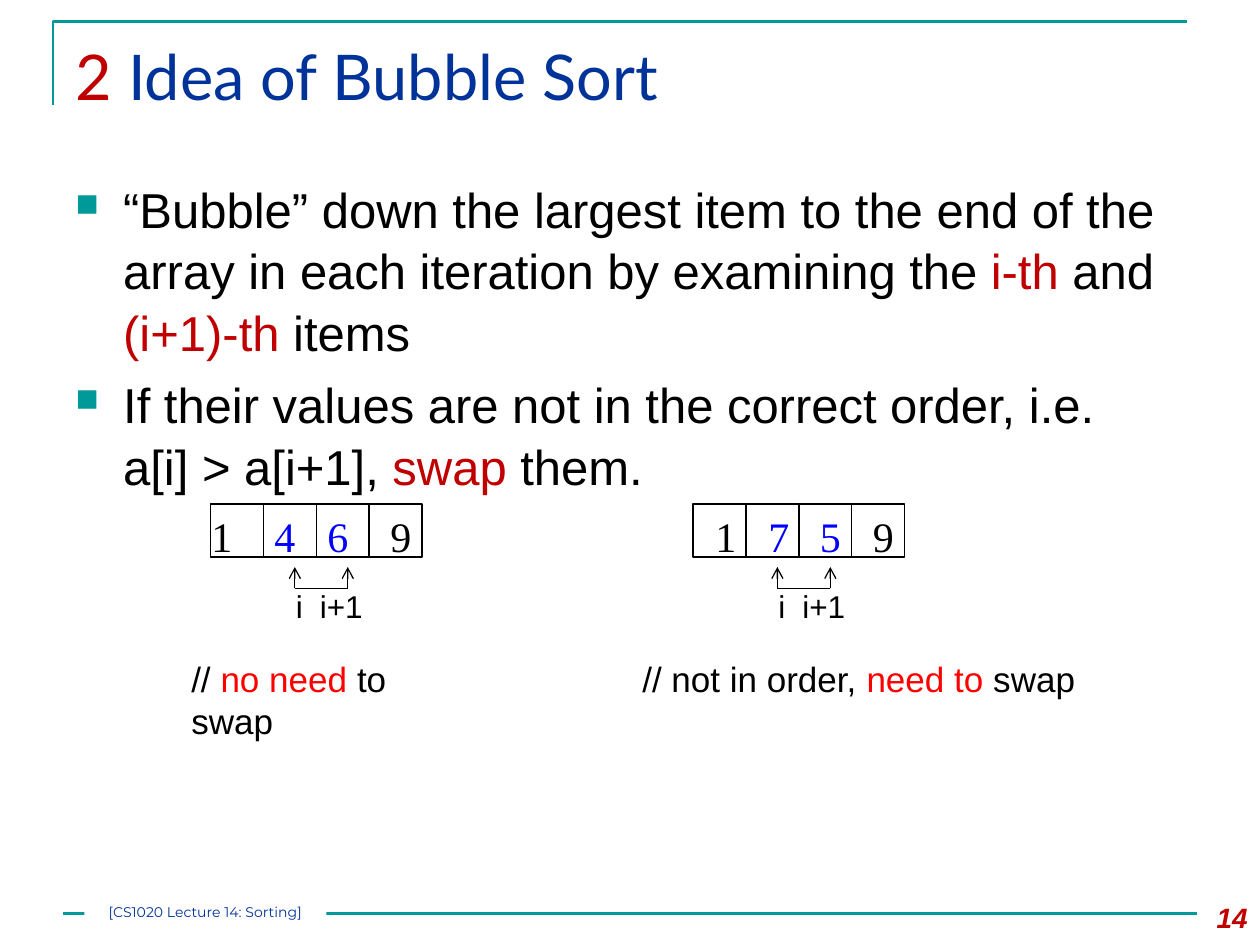
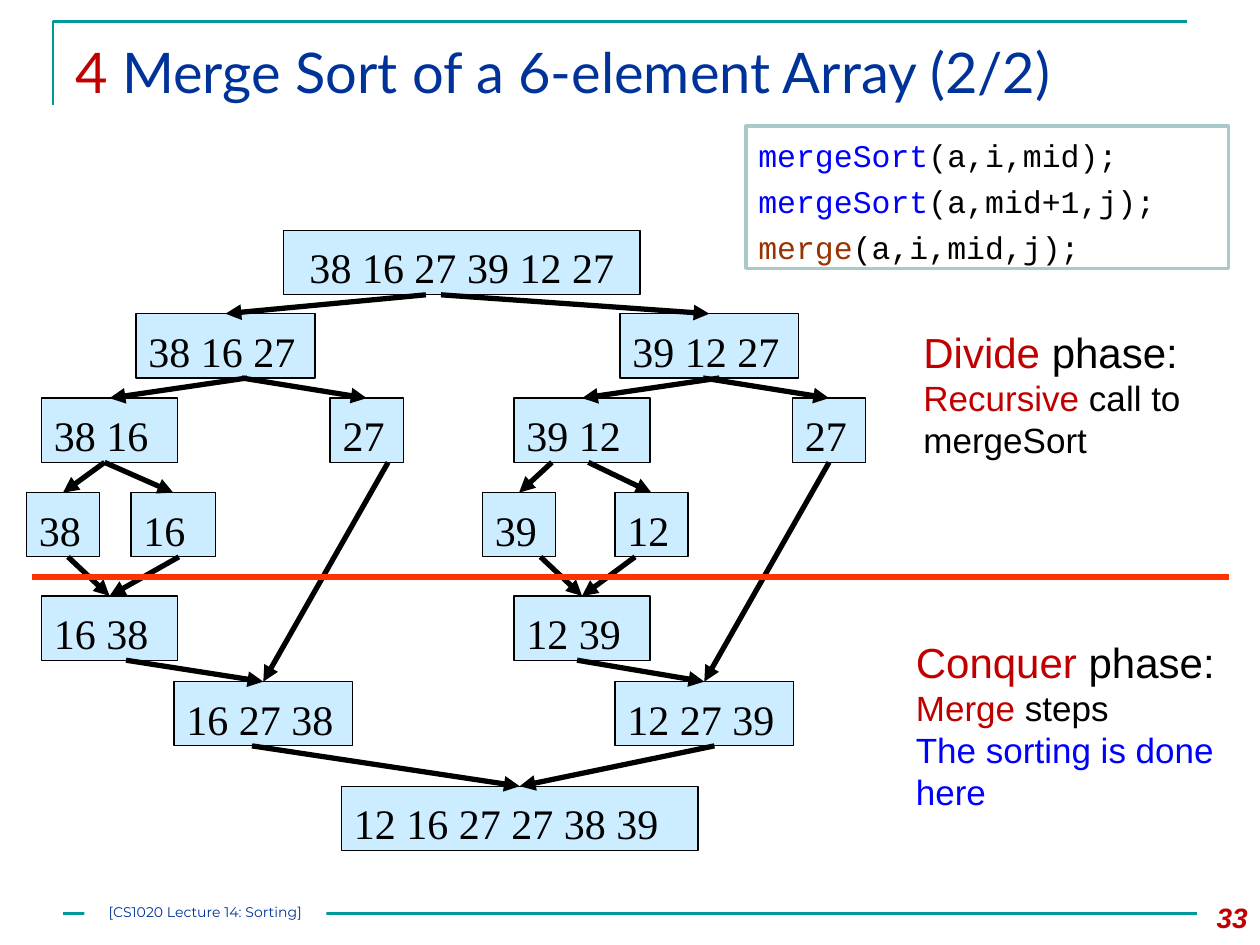
from dataclasses import dataclass
from typing import NamedTuple

from lxml.etree import SubElement
from pptx import Presentation
from pptx.dml.color import RGBColor
from pptx.enum.shapes import MSO_CONNECTOR as Connector, MSO_SHAPE as Preset
from pptx.enum.text import MSO_ANCHOR as Anchor, PP_ALIGN as Align
from pptx.oxml.ns import qn
from pptx.util import Inches, Pt

COLORS = {
    "teal": "009999", "navy": "003399", "crimson": "C00000", "red": "FF0000",
    "blue": "0000FF", "brown": "993300", "black": "000000", "white": "FFFFFF",
    "node": "CCECFF", "code_border": "AACACA", "divider": "FF3300",
}
BODY_FONT, TITLE_FONT, FOOTER_FONT = "Arial", "Lato", "Montserrat"
ARRAY_FONT, CODE_FONT = "Times New Roman", "Courier New"
CELL = 0.42
CELL_TOP = 4.0
NODE_HEIGHT = 0.51
ROW_TOPS = (1.83, 2.49, 3.16, 3.91, 4.73, 5.41, 6.24)


class Run(NamedTuple):
    text: str
    color: str = "black"


class Box(NamedTuple):
    left: float
    top: float
    width: float
    height: float


class Start(NamedTuple):
    x: float
    row: int


@dataclass(frozen=True)
class Line:
    runs: tuple[Run, ...]
    size: float
    font: str = BODY_FONT
    align: Align = Align.LEFT
    space_before: float = 0
    bold: bool = False
    bullet: bool = False
    tabs: tuple[float, ...] = ()
    spacing: float = 1.0


@dataclass(frozen=True)
class ArrayExample:
    left: float
    text_left: float
    tabs: tuple[float, ...]
    values: tuple[str, str, str, str]
    comment_box: Box
    comment: tuple[Run, ...]


@dataclass(frozen=True)
class Node:
    text: str
    left: float
    row: int
    width: float
    starts: tuple[Start, ...] = ()
    align: Align = Align.LEFT


ARRAY_EXAMPLES = (
    ArrayExample(1.67, 1.58, (0.5, 0.92, 1.42), ("1", "4", "6", "9"), Box(1.42, 5.17, 2.1, 0.76),
                 (Run("// "), Run("no need ", "red"), Run("to swap"))),
    ArrayExample(5.5, 5.58, (0.42, 0.83, 1.25), ("1", "7", "5", "9"), Box(5, 5.17, 3.9, 0.44),
                 (Run("// not in order, "), Run("need to", "red"), Run(" swap"))),
)

NODES = (
    Node("38 16 27 39 12 27", 2.25, 0, 2.83, align=Align.CENTER),
    Node("38 16 27", 1.08, 1, 1.42, (Start(3.38, 0),)),
    Node("39 12 27", 4.92, 1, 1.42, (Start(3.5, 0),)),
    Node("38 16", 0.33, 2, 1.08, (Start(1.96, 1),)),
    Node("27", 2.62, 2, 0.58, (Start(1.92, 1),)),
    Node("39 12", 4.08, 2, 1.08, (Start(5.71, 1),)),
    Node("27", 6.29, 2, 0.58, (Start(5.58, 1),)),
    Node("38", 0.21, 3, 0.58, (Start(0.83, 2),)),
    Node("16", 1.04, 3, 0.67, (Start(0.83, 2),)),
    Node("39", 3.83, 3, 0.58, (Start(4.38, 2),)),
    Node("12", 4.88, 3, 0.58, (Start(4.67, 2),)),
    Node("16 38", 0.33, 4, 1.08, (Start(0.54, 3), Start(1.42, 3))),
    Node("12 39", 4.08, 4, 1.08, (Start(4.29, 3), Start(5.04, 3))),
    Node("16 27 38", 1.38, 5, 1.42, (Start(1, 4), Start(3.08, 2))),
    Node("12 27 39", 4.88, 5, 1.42, (Start(4.58, 4), Start(6.58, 2))),
    Node("12 16 27 27 38 39", 2.71, 6, 2.83, (Start(2, 5), Start(5.67, 5))),
)


def color(name: str) -> RGBColor:
    return RGBColor.from_string(COLORS[name])


def add_bullet(paragraph) -> None:
    properties = paragraph._p.get_or_add_pPr()
    properties.set("marL", str(Inches(0.38)))
    properties.set("indent", str(-Inches(0.38)))
    bullet_color = SubElement(properties, qn("a:buClr"))
    SubElement(bullet_color, qn("a:srgbClr"), val=COLORS["teal"])
    SubElement(properties, qn("a:buSzPct"), val="65000")
    SubElement(properties, qn("a:buChar"), char="■")


def add_tabs(paragraph, positions: tuple[float, ...]) -> None:
    tab_list = SubElement(paragraph._p.get_or_add_pPr(), qn("a:tabLst"))
    for position in positions:
        SubElement(tab_list, qn("a:tab"), pos=str(Inches(position)), algn="l")


def write(shape, lines: tuple[Line, ...], wrap: bool = True, margins=(0.1, 0.05)) -> None:
    frame = shape.text_frame
    frame.word_wrap = wrap
    frame.vertical_anchor = Anchor.TOP
    frame.margin_left = frame.margin_right = Inches(margins[0])
    frame.margin_top = frame.margin_bottom = Inches(margins[1])
    for index, line in enumerate(lines):
        paragraph = frame.add_paragraph() if index else frame.paragraphs[0]
        if line.bullet:
            add_bullet(paragraph)
        if line.tabs:
            add_tabs(paragraph, line.tabs)
        paragraph.alignment = line.align
        paragraph.line_spacing = line.spacing
        if index:
            paragraph.space_before = Pt(line.space_before)
        font = paragraph.font
        font.name, font.size = line.font, Pt(line.size)
        font.bold = font.italic = line.bold
        font.color.rgb = color(line.runs[0].color)
        for text_run in line.runs:
            for part_index, part in enumerate(text_run.text.split("\n")):
                if part_index:
                    paragraph.add_line_break()
                run = paragraph.add_run()
                run.text = part
                if text_run.color != line.runs[0].color:
                    run.font.color.rgb = color(text_run.color)


def add_text(slide, box: Box, *lines: Line, wrap: bool = True) -> None:
    write(slide.shapes.add_textbox(*map(Inches, box)), lines, wrap)


def add_rectangle(slide, box: Box, fill: str = "", line: str = "", weight: float = 0.75):
    shape = slide.shapes.add_shape(Preset.RECTANGLE, *map(Inches, box))
    shape.shadow.inherit = False
    if fill:
        shape.fill.solid()
        shape.fill.fore_color.rgb = color(fill)
    else:
        shape.fill.background()
    if line:
        shape.line.color.rgb = color(line)
        shape.line.width = Pt(weight)
    else:
        shape.line.fill.background()
    return shape


def add_line(slide, start: tuple[float, float], end: tuple[float, float], line_color: str = "black",
             weight: float = 0.75, arrow: str = "") -> None:
    connector = slide.shapes.add_connector(Connector.STRAIGHT, *map(Inches, (*start, *end)))
    connector.line.color.rgb = color(line_color)
    connector.line.width = Pt(weight)
    if arrow:
        SubElement(connector.line._get_or_add_ln(), qn("a:tailEnd"), type=arrow)
    SubElement(connector._element.spPr, qn("a:effectLst"))


def add_base_slide(presentation, number: str, section: str, title: str, title_size: float):
    slide = presentation.slides.add_slide(presentation.slide_layouts[6])
    builder = slide.shapes.build_freeform(Inches(0.42), Inches(0.83))
    builder.add_line_segments(
        [(Inches(0.42), Inches(0.17)), (Inches(9.42), Inches(0.17))], close=False)
    corner = builder.convert_to_shape()
    corner.shadow.inherit = False
    corner.fill.background()
    corner.line.color.rgb = color("teal")
    corner.line.width = Pt(1.5)
    add_line(slide, (0.5, 7.25), (9.5, 7.25), "teal", 1.5)
    footer = add_rectangle(slide, Box(0.67, 7.17, 1.92, 0.17), "white")
    footer_run = Run("[CS1020 Lecture 14: Sorting]", "navy")
    write(footer, (Line((footer_run,), 8, FOOTER_FONT, Align.CENTER),), margins=(0, 0))
    add_text(slide, Box(0.5, 0.25, 9.17, 1),
             Line((Run(f"{section} ", "crimson"), Run(title, "navy")), title_size, TITLE_FONT))
    add_text(slide, Box(9.33, 7.1, 0.67, 0.4),
             Line((Run(number, "crimson"),), 16, align=Align.RIGHT, bold=True))
    return slide


def add_array_example(slide, example: ArrayExample) -> None:
    for index in range(len(example.values)):
        add_rectangle(slide, Box(example.left + index * CELL, CELL_TOP, CELL, CELL), line="black")
    first, second, third, last = example.values
    values = (Run(f"{first}\t"), Run(f"{second}\t{third}\t", "blue"), Run(last))
    add_text(slide, Box(example.text_left, CELL_TOP, 1.8, 0.5),
             Line(values, 24, ARRAY_FONT, tabs=example.tabs))
    index_x, next_x = example.left + 0.67, example.left + 0.67 + CELL
    for x in (index_x, next_x):
        add_line(slide, (x, 4.67), (x, 4.5), arrow="arrow")
    add_line(slide, (index_x, 4.67), (next_x, 4.67))
    add_text(slide, Box(example.left + 0.58, 4.61, 0.9, 0.4),
             Line((Run("i\ti+1"),), 18, tabs=(0.19,)))
    add_text(slide, example.comment_box, Line(example.comment, 20))


def add_bubble_sort_slide(presentation) -> None:
    slide = add_base_slide(presentation, "14", "2", "Idea of Bubble Sort", 36)
    bullets = (
        (Run("“Bubble” down the largest item to the end of the array in each iteration "
             "by examining the "),
         Run("i-th", "crimson"), Run(" and "), Run("(i+1)-th ", "crimson"), Run("items")),
        (Run("If their values are not in the correct order, i.e. \na[i] > a[i+1], "),
         Run("swap", "crimson"), Run(" them.")),
    )
    add_text(slide, Box(0.5, 1.35, 9, 2.6),
             *(Line(runs, 28, space_before=6, bullet=True, spacing=1.05) for runs in bullets))
    for example in ARRAY_EXAMPLES:
        add_array_example(slide, example)


def add_merge_sort_slide(presentation) -> None:
    slide = add_base_slide(presentation, "33", "4", "Merge Sort of a 6-element Array (2/2)", 32)
    calls = (("mergeSort", "blue", "(a,i,mid);"), ("mergeSort", "blue", "(a,mid+1,j);"),
             ("merge", "brown", "(a,i,mid,j);"))
    code = add_rectangle(slide, Box(5.92, 1, 3.83, 1.13), "white", "code_border", 2)
    write(code, tuple(Line((Run(name, name_color), Run(arguments)), 18, CODE_FONT, space_before=4.7)
                      for name, name_color, arguments in calls), margins=(0.1, 0.08))
    for node in NODES:
        top = ROW_TOPS[node.row]
        shape = add_rectangle(slide, Box(node.left, top, node.width, NODE_HEIGHT), "node", "black")
        write(shape, (Line((Run(node.text),), 24, ARRAY_FONT, node.align),), margins=(0.1, 0.09))
    for node in NODES:
        for start in node.starts:
            add_line(slide, (start.x, ROW_TOPS[start.row] + NODE_HEIGHT),
                     (node.left + node.width / 2, ROW_TOPS[node.row]), weight=3, arrow="triangle")
    add_line(slide, (0.25, 4.58), (9.75, 4.58), "divider", 3)
    add_text(slide, Box(7.23, 2.54, 2.32, 1.17),
             Line((Run("Divide ", "crimson"), Run("phase:")), 24),
             Line((Run("Recursive", "crimson"), Run(" call to")), 20),
             Line((Run("mergeSort"),), 20), wrap=False)
    add_text(slide, Box(7.17, 5, 2.58, 1.5),
             Line((Run("Conquer ", "crimson"), Run("phase:")), 24),
             Line((Run("Merge", "crimson"), Run(" steps")), 20),
             Line((Run("The sorting is done here", "blue"),), 20))


def main() -> None:
    presentation = Presentation()
    presentation.slide_width, presentation.slide_height = Inches(10), Inches(7.5)
    add_bubble_sort_slide(presentation)
    add_merge_sort_slide(presentation)
    presentation.save("out.pptx")


if __name__ == "__main__":
    main()
